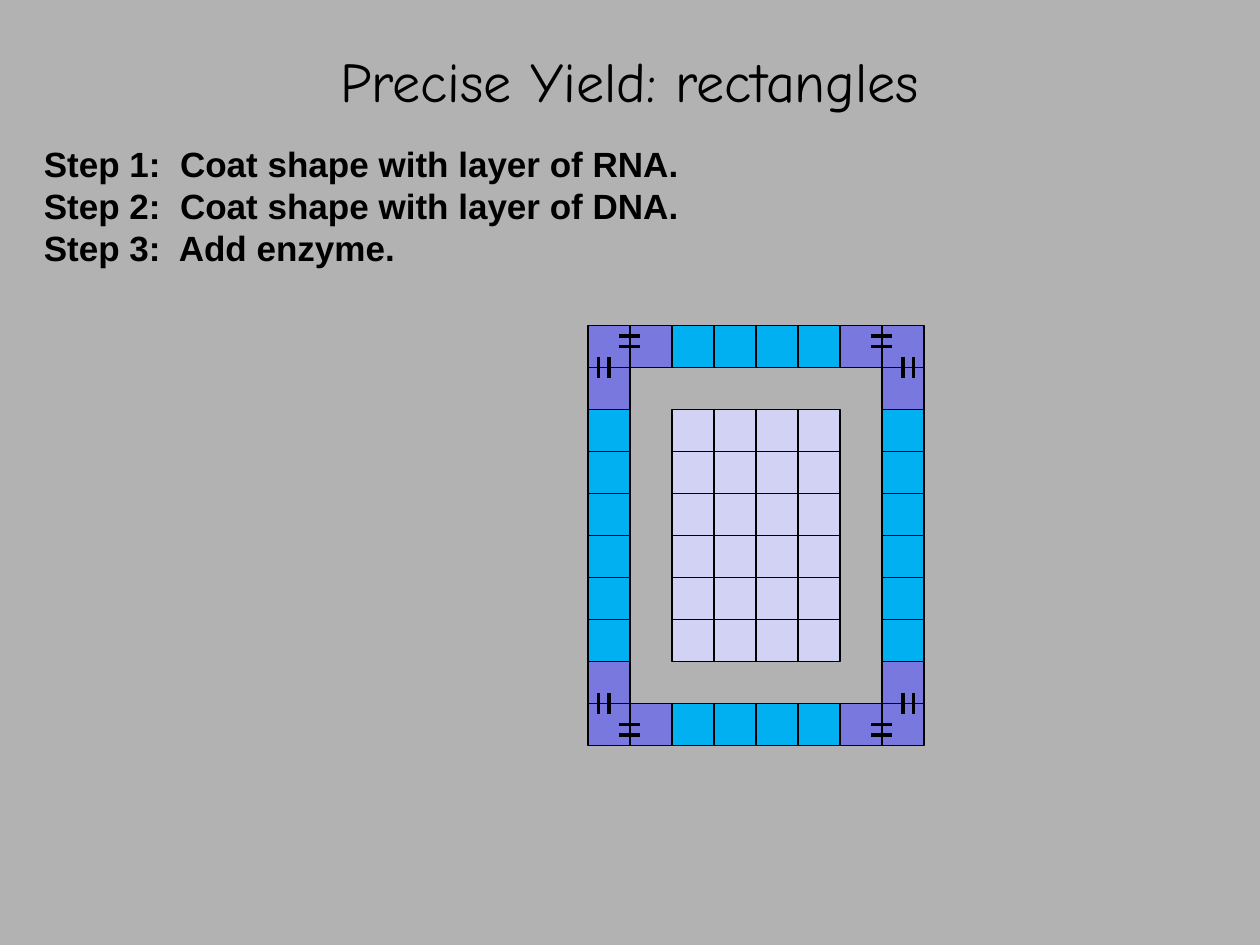
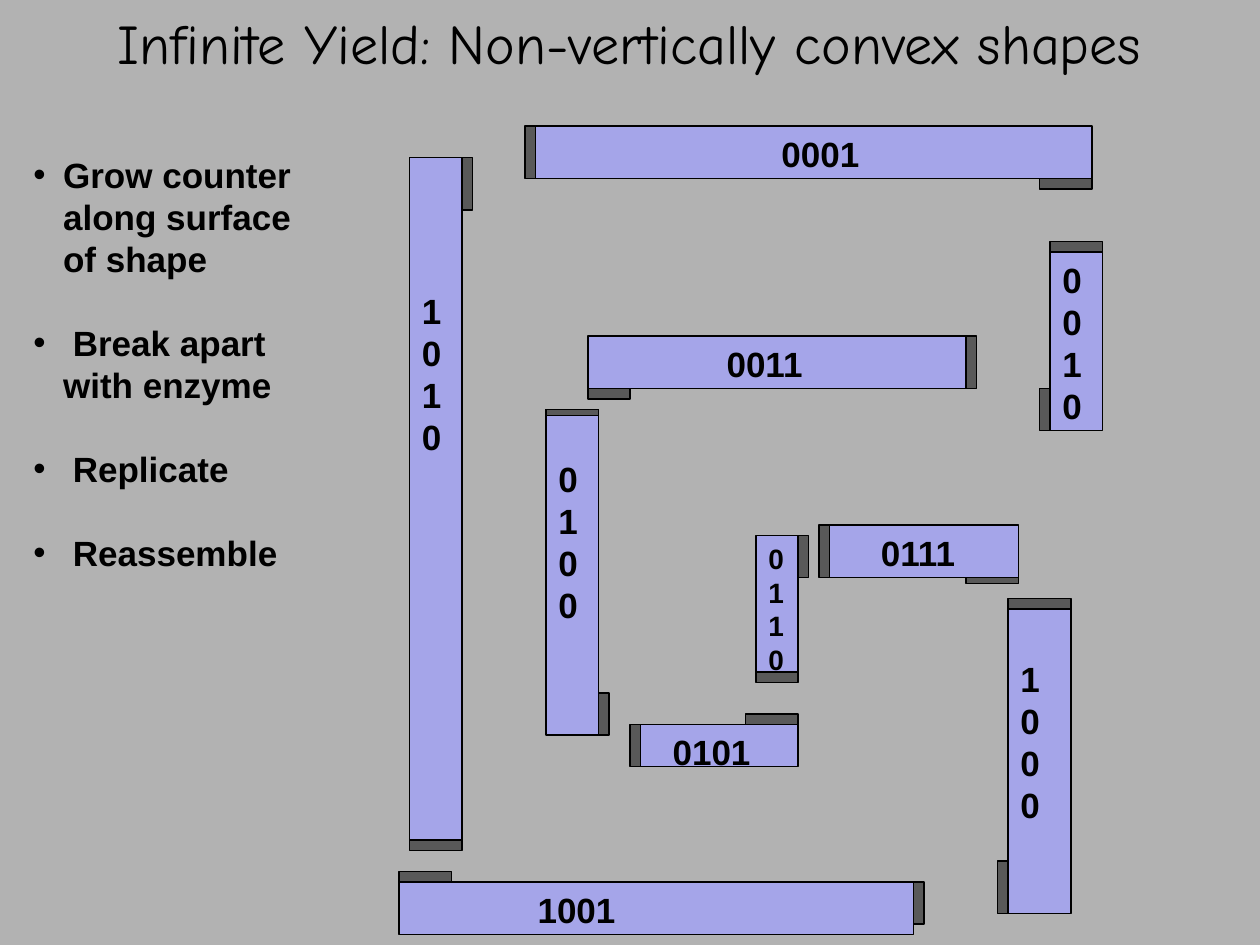
"""Builds two slides on coating shapes with tiles and growing counters."""
from dataclasses import dataclass
from itertools import product

from lxml import etree
from pptx import Presentation
from pptx.dml.color import RGBColor
from pptx.enum.shapes import MSO_CONNECTOR, MSO_SHAPE
from pptx.enum.text import MSO_ANCHOR, PP_ALIGN
from pptx.oxml.ns import qn
from pptx.util import Pt

RECT = MSO_SHAPE.RECTANGLE
LINE = MSO_CONNECTOR.STRAIGHT
TOP, MIDDLE = MSO_ANCHOR.TOP, MSO_ANCHOR.MIDDLE
LEFT, CENTER = PP_ALIGN.LEFT, PP_ALIGN.CENTER


@dataclass(frozen=True)
class Theme:
    """Colours, fonts and sizes that both slides share."""
    back: str = "B2B2B2"
    ink: str = "000000"
    core: str = "D2D2F4"
    corner: str = "7878DE"
    side: str = "00B0F0"
    bar: str = "A5A5E9"
    tab: str = "595959"
    head: str = "Comic Neue"
    body: str = "Arial"
    title: int = 32
    text: int = 20
    small: int = 16
    thin: float = 0.75
    thick: float = 2.25
    pitch: float = 1.2


THEME = Theme()
UNIT = 6
TILE = 24

TITLES = ["Precise Yield: rectangles",
          "Infinite Yield: Non-vertically convex shapes"]
STEPS = [
    (102, ["Step 2:  Coat shape with layer of DNA.", "Step 3:  Add enzyme."]),
    (78, ["Step 1:  Coat shape with layer of RNA."]),
]
POINTS = ["Grow counter along surface of shape", " Break apart with enzyme",
          " Replicate", " Reassemble"]

GRID = {"left": 336, "top": 186, "cols": 8, "rows": 10}
FLAT_X, FLAT_Y = (360, 504), (192, 198, 414, 420)
TALL_X, TALL_Y = (342, 348, 516, 522), (210, 402)

EDGES = [(44, 20, 44, 80), (51, 17, 99, 17), (100, 24, 100, 36),
         (92, 32, 56, 32), (79, 55, 91, 55), (87, 84, 43, 84)]
BARS = [
    ("0001", (51, 12, 53, 5), 140.6, 3.6, THEME.text),
    ("0010", (100, 24, 5, 17), 7.2, 3.6, THEME.text),
    ("0011", (56, 32, 36, 5), 79.2, 3.6, THEME.text),
    ("0100", (52, 39, 5, 31), 7.2, 27.6, THEME.text),
    ("0101", (61, 69, 15, 4), 18.3, 3.6, THEME.text),
    ("0110", (72, 51, 4, 13), 7.2, 3.6, THEME.small),
    ("0111", (79, 50, 18, 5), 29.4, 3.6, THEME.text),
    ("1000", (96, 58, 6, 29), 7.2, 27.6, THEME.text),
    ("1001", (38, 84, 49, 5), 79.2, 3.6, THEME.text),
    ("1010", (39, 15, 5, 65), 7.2, 75.6, THEME.text),
]
TABS = [
    (38, 83, 5, 1), (39, 80, 5, 1), (60, 69, 1, 4), (57, 66, 1, 4),
    (72, 64, 4, 1), (71, 68, 5, 1), (87, 84, 1, 4), (95, 82, 1, 5),
    (96, 57, 6, 1), (92, 55, 5, 0.6), (76, 51, 1, 4), (78, 50, 1, 5),
    (56, 37, 4, 1), (52, 39, 5, 0.6), (92, 32, 1, 5), (99, 37, 1, 4),
    (99, 17, 5, 1), (100, 23, 5, 1), (50, 12, 1, 5), (44, 15, 1, 5),
]


def color(code):
    """Turn a hex code into a colour."""
    return RGBColor.from_string(code)


def apply(item, values):
    """Set each named value on an item."""
    for name, value in values.items():
        setattr(item, name, value)


def scale(box):
    """Turn grid units into points."""
    return [part * UNIT for part in box]


def style(para, size, face=THEME.body, bold=True):
    """Format the font of a paragraph."""
    apply(para.font, {"size": Pt(size), "name": face, "bold": bold})
    para.font.color.rgb = color(THEME.ink)


def write(frame, lines, size=THEME.text, gap=0, bullet=False):
    """Fill a text frame with evenly pitched lines."""
    for num, line in enumerate(lines):
        para = frame.add_paragraph() if num else frame.paragraphs[0]
        para.text = line
        apply(para, {"alignment": LEFT, "line_spacing": Pt(size * THEME.pitch),
                     "space_before": Pt(gap if num else 0)})
        if bullet:
            props = para._p.get_or_add_pPr()
            props.set("marL", str(Pt(17)))
            props.set("indent", str(Pt(-17)))
            etree.SubElement(props, qn("a:buFont")).set("typeface", THEME.body)
            etree.SubElement(props, qn("a:buChar")).set("char", "•")
        style(para, size)


def add_rect(slide, box, fill):
    """Draw an outlined rectangle."""
    rect = slide.shapes.add_shape(RECT, *map(Pt, box))
    rect.shadow.inherit = False
    rect.fill.solid()
    rect.fill.fore_color.rgb = color(fill)
    rect.line.color.rgb = color(THEME.ink)
    rect.line.width = Pt(THEME.thin)
    return rect


def add_line(slide, ends, width):
    """Draw a plain straight line."""
    line = slide.shapes.add_connector(LINE, *map(Pt, ends))
    line.line.color.rgb = color(THEME.ink)
    line.line.width = Pt(width)
    etree.SubElement(line._element.spPr, qn("a:effectLst"))


def add_text(slide, box, lines, wrap, **extra):
    """Place a text box."""
    frame = slide.shapes.add_textbox(*map(Pt, box)).text_frame
    frame.word_wrap = wrap
    write(frame, lines, **extra)


def add_slide(deck, text, top):
    """Add a slide with its title set in place."""
    slide = deck.slides.add_slide(deck.slide_layouts[5])
    title = slide.shapes.title
    apply(title, {"left": Pt(0), "top": Pt(top),
                  "width": Pt(720), "height": Pt(48)})
    frame = title.text_frame
    frame.text = text
    apply(frame, {"vertical_anchor": MIDDLE, "word_wrap": True})
    para = frame.paragraphs[0]
    para.alignment = CENTER
    style(para, THEME.title, THEME.head, False)
    return slide


def tile_fill(row, col):
    """Choose the colour of a tile, or none for the gap."""
    last_r, last_c = GRID["rows"] - 1, GRID["cols"] - 1
    edge_r, edge_c = min(row, last_r - row), min(col, last_c - col)
    if min(edge_r, edge_c) == 0:
        return THEME.corner if max(edge_r, edge_c) < 2 else THEME.side
    return THEME.core if min(edge_r, edge_c) > 1 else None


def draw_tiles(deck):
    """Build the slide with the coated rectangle."""
    slide = add_slide(deck, TITLES[0], 22)
    for row, col in product(range(GRID["rows"]), range(GRID["cols"])):
        fill = tile_fill(row, col)
        if fill:
            add_rect(slide, (GRID["left"] + col * TILE,
                             GRID["top"] + row * TILE, TILE, TILE), fill)
    for x, y, half in product(FLAT_X, FLAT_Y, (-UNIT, 0)):
        add_line(slide, (x + half, y, x + half + UNIT, y), THEME.thick)
    for x, y, half in product(TALL_X, TALL_Y, (-UNIT, 0)):
        add_line(slide, (x, y + half, x, y + half + UNIT), THEME.thick)
    for top, lines in STEPS:
        add_text(slide, (18, top, 380, 7.2 + TILE * len(lines)), lines, False)


def draw_bars(deck):
    """Build the slide with the counter bars."""
    slide = add_slide(deck, TITLES[1], 0)
    for ends in EDGES:
        add_line(slide, scale(ends), THEME.thin)
    for label, box, left, top, size in BARS:
        frame = add_rect(slide, scale(box), THEME.bar).text_frame
        apply(frame, {"word_wrap": True, "vertical_anchor": TOP,
                      "margin_left": Pt(left), "margin_top": Pt(top)})
        write(frame, [label], size)
    add_text(slide, (12, 84, 174, 298), POINTS, True, gap=24, bullet=True)
    for box in TABS:
        add_rect(slide, scale(box), THEME.tab)


def main():
    """Build and save the deck."""
    deck = Presentation()
    apply(deck, {"slide_width": Pt(720), "slide_height": Pt(540)})
    fill = deck.slide_master.background.fill
    fill.solid()
    fill.fore_color.rgb = color(THEME.back)
    draw_tiles(deck)
    draw_bars(deck)
    deck.save("out.pptx")


if __name__ == "__main__":
    main()
